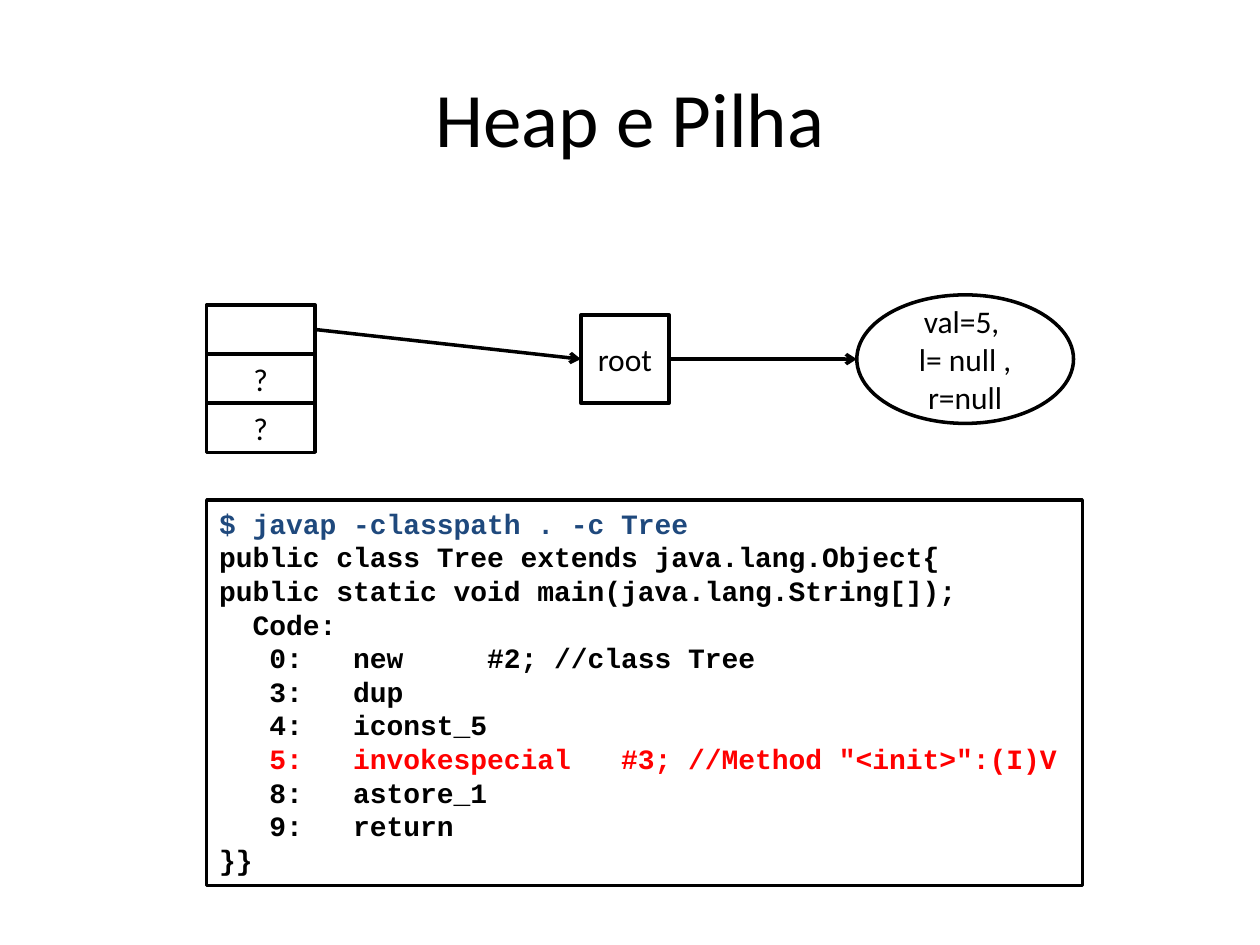
"""Build the slide that shows the stack and heap of a Java program with its bytecode."""
from dataclasses import dataclass

from lxml import etree
from pptx import Presentation
from pptx.dml.color import RGBColor
from pptx.enum.shapes import MSO_CONNECTOR, MSO_SHAPE
from pptx.enum.text import MSO_ANCHOR, MSO_AUTO_SIZE, PP_ALIGN
from pptx.oxml.ns import qn
from pptx.util import Emu, Pt

RECT, ELLIPSE = MSO_SHAPE.RECTANGLE, MSO_SHAPE.OVAL
STRAIGHT = MSO_CONNECTOR.STRAIGHT
CENTER, LEFT = PP_ALIGN.CENTER, PP_ALIGN.LEFT
MIDDLE, TOP = MSO_ANCHOR.MIDDLE, MSO_ANCHOR.TOP
LEFT_SIDE, RIGHT_SIDE = 1, 3

EMU_PER_PX = 9144
LINE_WIDTH = Pt(2)
COLORS = {"ink": "000000", "paper": "FFFFFF", "command": "1F497D", "current": "FF0000"}
LAYOUT_TITLE_ONLY = 5

STACK_X, STACK_Y, CELL_W, CELL_H = 164, 242, 86, 39
STACK_VALUES = ["", "?", "?"]
BYTECODE = [
    ("$ javap -classpath . -c Tree", "command"),
    ("public class Tree extends java.lang.Object{", "ink"),
    ("public static void main(java.lang.String[]);", "ink"),
    ("  Code:", "ink"),
    ("   0:   new     #2; //class Tree", "ink"),
    ("   3:   dup", "ink"),
    ("   4:   iconst_5", "ink"),
    ('   5:   invokespecial   #3; //Method "<init>":(I)V', "current"),
    ("   8:   astore_1", "ink"),
    ("   9:   return", "ink"),
    ("}}", "ink"),
]


@dataclass
class Node:
    x: int
    y: int
    w: int
    h: int
    lines: list[str]
    preset: int = RECT


def px(length: int) -> Emu:
    return Emu(length * EMU_PER_PX)


def rgb(name: str) -> RGBColor:
    return RGBColor.from_string(COLORS[name])


def write(frame, lines, *, size=18, font="Calibri", bold=False, align=CENTER,
          anchor=MIDDLE, wrap=True) -> None:
    frame.word_wrap = wrap
    frame.vertical_anchor = anchor
    for index, (text, color) in enumerate(lines):
        paragraph = frame.paragraphs[0] if index == 0 else frame.add_paragraph()
        paragraph.alignment = align
        run = paragraph.add_run()
        run.text = text
        run.font.size = Pt(size)
        run.font.name = font
        run.font.bold = bold
        run.font.color.rgb = rgb(color)


def draw_node(slide, node: Node):
    shape = slide.shapes.add_shape(
        node.preset, px(node.x), px(node.y), px(node.w), px(node.h))
    shape.shadow.inherit = False
    shape.fill.solid()
    shape.fill.fore_color.rgb = rgb("paper")
    shape.line.color.rgb = rgb("ink")
    shape.line.width = LINE_WIDTH
    write(shape.text_frame, [(line, "ink") for line in node.lines if line])
    return shape


def draw_arrow(slide, source, target):
    arrow = slide.shapes.add_connector(
        STRAIGHT, source.left + source.width, source.top + source.height // 2,
        target.left, target.top + target.height // 2)
    arrow.begin_connect(source, RIGHT_SIDE)
    arrow.line.color.rgb = rgb("ink")
    arrow.line.width = LINE_WIDTH
    properties = arrow.line._get_or_add_ln()
    etree.SubElement(properties, qn("a:tailEnd"), type="arrow")
    etree.SubElement(properties.getparent(), qn("a:effectLst"))
    return arrow


def main() -> None:
    deck = Presentation()
    deck.slide_width, deck.slide_height = px(1000), px(750)
    slide = deck.slides.add_slide(deck.slide_layouts[LAYOUT_TITLE_ONLY])

    title = slide.shapes.title
    title.left, title.top, title.width, title.height = px(50), px(30), px(900), px(125)
    write(title.text_frame, [("Heap e Pilha", "ink")], size=44)

    root = draw_node(slide, Node(461, 250, 70, 70, ["root"]))
    tree = draw_node(slide, Node(680, 234, 172, 102, ["val=5, ", "l= null , r=null"], ELLIPSE))
    draw_arrow(slide, root, tree)

    listing = draw_node(slide, Node(164, 397, 695, 306, []))
    write(listing.text_frame, BYTECODE, size=16, font="Courier New", bold=True,
          align=LEFT, anchor=TOP, wrap=False)
    listing.text_frame.auto_size = MSO_AUTO_SIZE.SHAPE_TO_FIT_TEXT

    stack = [
        draw_node(slide, Node(STACK_X, STACK_Y + row * CELL_H, CELL_W, CELL_H, [value]))
        for row, value in enumerate(STACK_VALUES)
    ]
    draw_arrow(slide, stack[0], root).end_connect(root, LEFT_SIDE)

    deck.save("out.pptx")


if __name__ == "__main__":
    main()
